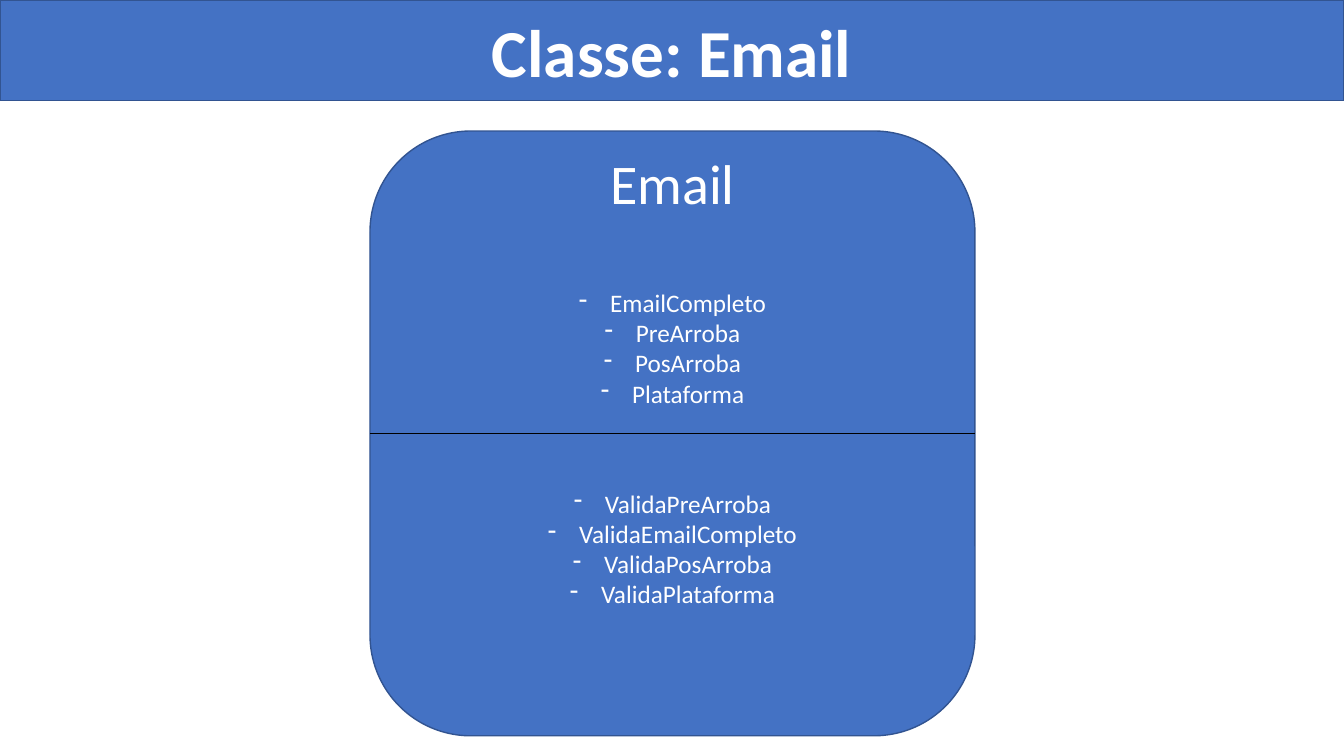
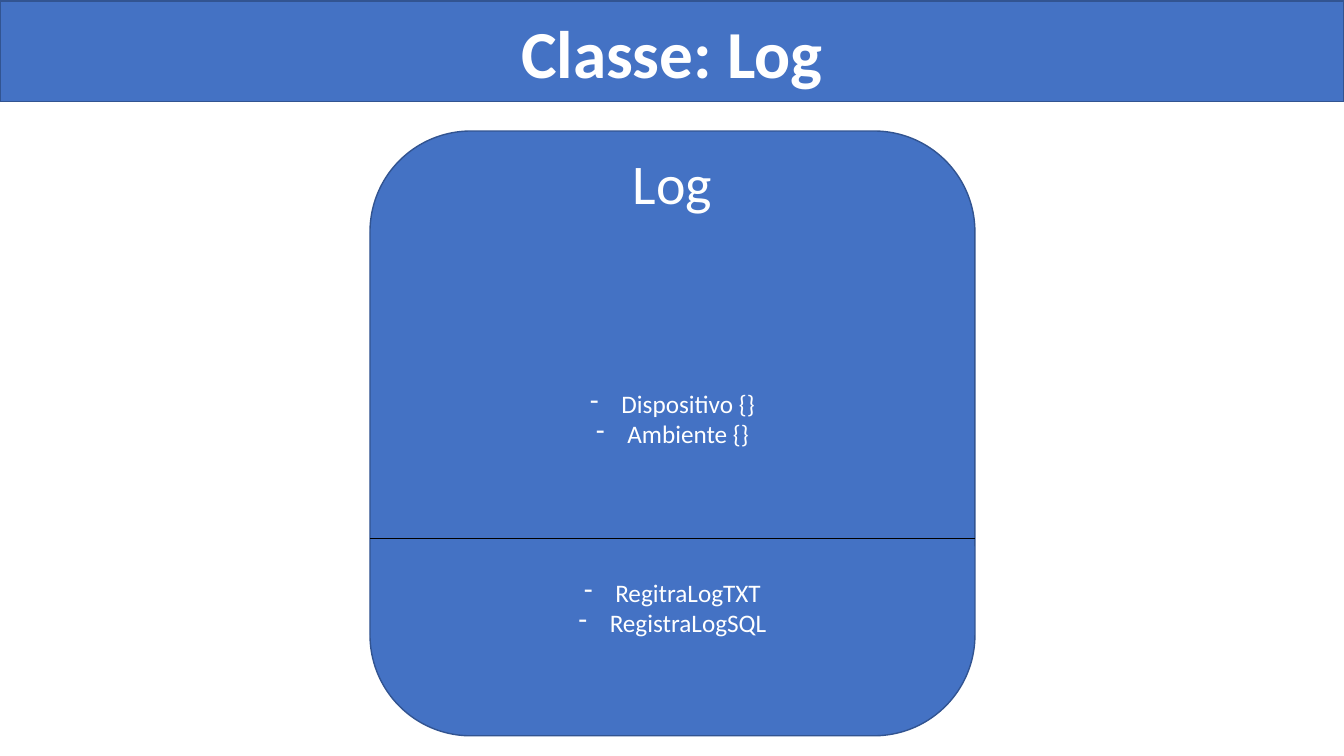
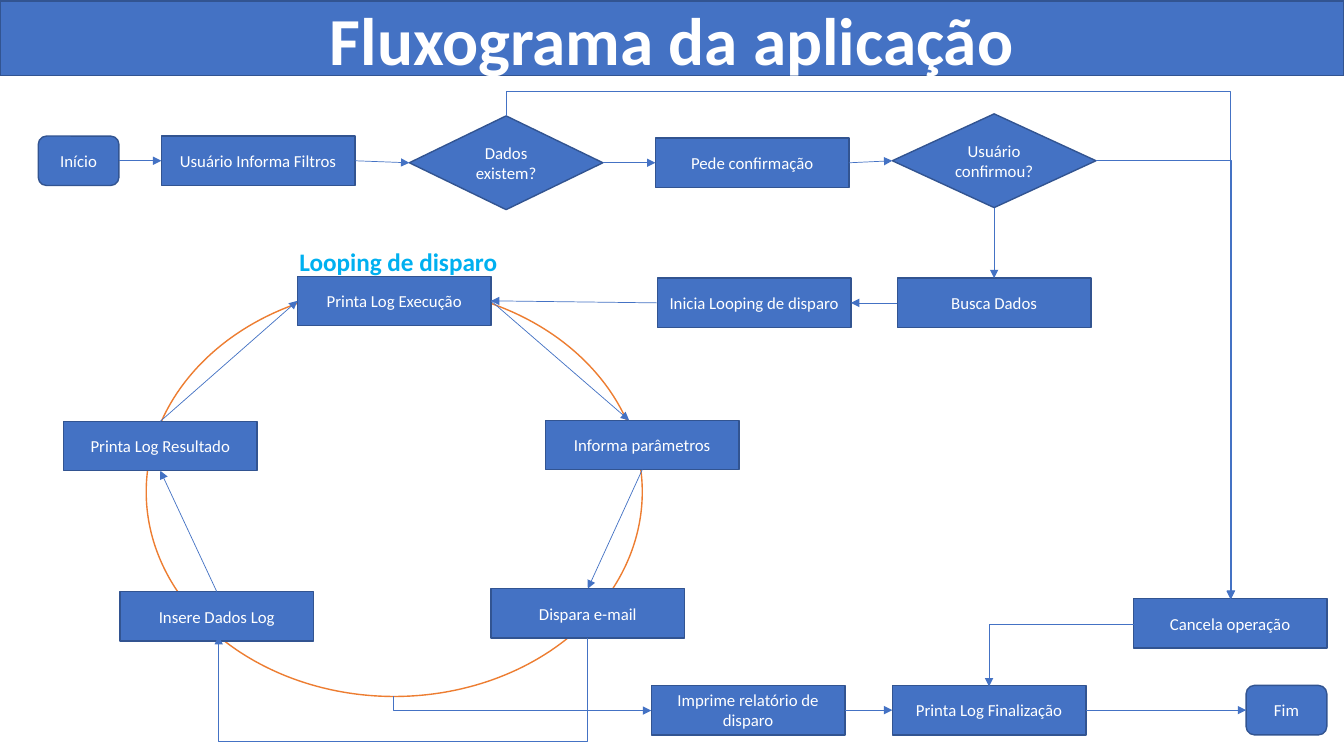
from dataclasses import dataclass
from typing import Optional, Union

from lxml.etree import SubElement
from pptx import Presentation
from pptx.dml.color import RGBColor
from pptx.enum.shapes import MSO_CONNECTOR, MSO_SHAPE
from pptx.enum.text import MSO_ANCHOR, MSO_AUTO_SIZE, PP_ALIGN
from pptx.oxml.ns import qn
from pptx.util import Inches, Pt

# Shared style
FONT = "Calibri"
BLUE, EDGE, ORANGE, CYAN = "4472C4", "325491", "ED7D31", "00B0F0"
WHITE, BLACK = "FFFFFF", "000000"
SLIDE_W, SLIDE_H = 13.33, 7.5
CARD_X, CARD_Y, CARD_SIZE = 3.67, 1.3, 6
BOX_W, BOX_H, PILL_W = 1.92, 0.49, 0.8
TOP, LEFT, BOTTOM, RIGHT = range(4)
RECT, PILL = MSO_SHAPE.RECTANGLE, MSO_SHAPE.ROUNDED_RECTANGLE
DECISION = MSO_SHAPE.FLOWCHART_DECISION


@dataclass
class ClassCard:
    name: str
    band_y: float
    divider_y: float
    fields_y: float
    fields: list[str]
    methods_y: float
    methods: list[str]


@dataclass
class Node:
    text: str
    x: float
    y: float
    w: float = BOX_W
    h: float = BOX_H
    kind: int = RECT

    def site(self, side: int) -> tuple[float, float]:
        return [(self.x + self.w / 2, self.y), (self.x, self.y + self.h / 2),
                (self.x + self.w / 2, self.y + self.h),
                (self.x + self.w, self.y + self.h / 2)][side]


@dataclass
class Arrow:
    start: str
    start_side: int
    end: str
    end_side: int
    tip: Optional[tuple[float, float]] = None


@dataclass
class Elbow:
    start: Optional[str]
    start_side: int
    end: str
    end_side: int
    box: tuple[float, float, float, float]
    turn: int = 0
    flip: str = ""
    bend: Optional[int] = None


def rgb(color: str) -> RGBColor:
    return RGBColor.from_string(color)


def write(tf, lines: list[str], size: int, color: str = WHITE, bold: bool = False,
          align=PP_ALIGN.CENTER, dashed: bool = False) -> None:
    tf.text = "\n".join(lines)
    for p in tf.paragraphs:
        p.alignment = align
        if dashed:
            pPr = p._p.get_or_add_pPr()
            pPr.set("marL", str(Inches(0.31)))
            pPr.set("indent", str(-Inches(0.31)))
            SubElement(pPr, qn("a:buFontTx"))
            SubElement(pPr, qn("a:buChar")).set("char", "-")
        for r in p.runs:
            r.font.name, r.font.size, r.font.bold = FONT, Pt(size), bold
            r.font.color.rgb = rgb(color)


def add_box(s, kind: int, x: float, y: float, w: float, h: float, text: str = "",
            size: int = 12, bold: bool = False, fill: Optional[str] = BLUE,
            edge: str = EDGE):
    sp = s.shapes.add_shape(kind, Inches(x), Inches(y), Inches(w), Inches(h))
    sp.shadow.inherit = False
    if fill:
        sp.fill.solid()
        sp.fill.fore_color.rgb = rgb(fill)
    else:
        sp.fill.background()
    sp.line.color.rgb, sp.line.width = rgb(edge), Pt(1)
    if text:
        sp.text_frame.vertical_anchor = MSO_ANCHOR.MIDDLE
        write(sp.text_frame, [text], size, bold=bold)
    return sp


def add_text(s, x: float, y: float, w: float, h: float, lines: list[str], size: int,
             wrap: bool = True, **style) -> None:
    tf = s.shapes.add_textbox(Inches(x), Inches(y), Inches(w), Inches(h)).text_frame
    tf.word_wrap, tf.auto_size = wrap, MSO_AUTO_SIZE.SHAPE_TO_FIT_TEXT
    write(tf, lines, size, **style)


def add_line(s, kind: int, start: tuple[float, float], end: tuple[float, float],
             color: str, arrow: bool = False):
    c = s.shapes.add_connector(kind, *(Inches(v) for v in (*start, *end)))
    c.line.color.rgb, c.line.width = rgb(color), Pt(0.5)
    if arrow:
        SubElement(c.line._get_or_add_ln(), qn("a:tailEnd")).set("type", "triangle")
    SubElement(c._element.spPr, qn("a:effectLst"))
    return c


def add_band(s, title: str, y: float, h: float = 1) -> None:
    add_box(s, RECT, 0, y, SLIDE_W, h, title, 48, True)


def add_card(s, card: ClassCard) -> None:
    add_band(s, f"Classe: {card.name}", card.band_y)
    add_box(s, PILL, CARD_X, CARD_Y, CARD_SIZE, CARD_SIZE)
    add_text(s, CARD_X, 1.42, CARD_SIZE, 0.77, [card.name], 40)
    add_line(s, MSO_CONNECTOR.STRAIGHT, (CARD_X, card.divider_y),
             (CARD_X + CARD_SIZE, card.divider_y), BLACK)
    for y, lines in ((card.fields_y, card.fields), (card.methods_y, card.methods)):
        add_text(s, CARD_X, y, CARD_SIZE, 0.11 + 0.3 * len(lines), lines, 18, dashed=True)


def add_link(s, link: Union[Arrow, Elbow], nodes: dict, shapes: dict) -> None:
    if isinstance(link, Arrow):
        start = nodes[link.start].site(link.start_side)
        end = link.tip or nodes[link.end].site(link.end_side)
        c = add_line(s, MSO_CONNECTOR.STRAIGHT, start, end, BLUE, True)
        if not link.tip:
            c.begin_connect(shapes[link.start], link.start_side)
            c.end_connect(shapes[link.end], link.end_side)
        return
    c = add_line(s, MSO_CONNECTOR.ELBOW, (0, 0), (1, 1), BLUE, True)
    if link.start:
        c.begin_connect(shapes[link.start], link.start_side)
    c.end_connect(shapes[link.end], link.end_side)
    # Place the turned frame and choose one bend or two
    xfrm = c._element.spPr.find(qn("a:xfrm"))
    for name in ("flipH", "flipV"):
        xfrm.set(name, str(int(name == link.flip)))
    xfrm.set("rot", str(link.turn * 60000))
    c.left, c.top, c.width, c.height = (Inches(v) for v in link.box)
    geom = c._element.spPr.find(qn("a:prstGeom"))
    if link.bend is None:
        geom.set("prst", "bentConnector2")
    else:
        gd = SubElement(geom.find(qn("a:avLst")), qn("a:gd"))
        gd.set("name", "adj1")
        gd.set("fmla", f"val {link.bend}")


CARDS = [
    ClassCard("Email", 0, 4.3,
              2.8, ["EmailCompleto", "PreArroba", "PosArroba", "Plataforma"],
              4.79, ["ValidaPreArroba", "ValidaEmailCompleto", "ValidaPosArroba",
                     "ValidaPlataforma"]),
    ClassCard("Log", 0.01, 5.34,
              3.8, ["Dispositivo {}", "Ambiente {}"],
              5.68, ["RegitraLogTXT", "RegistraLogSQL"]),
]

NODES = {
    "begin": Node("Início", 0.38, 1.35, PILL_W, kind=PILL),
    "filters": Node("Usuário Informa Filtros", 1.6, 1.35),
    "exists": Node("Dados existem?", 4.06, 1.15, h=0.93, kind=DECISION),
    "ask": Node("Pede confirmação", 6.5, 1.37),
    "confirmed": Node("Usuário confirmou?", 8.85, 1.13, 2.02, 0.93, DECISION),
    "fetch": Node("Busca Dados", 8.9, 2.76),
    "loop": Node("Inicia Looping de disparo", 6.52, 2.76),
    "log_run": Node("Printa Log Execução", 2.95, 2.74),
    "params": Node("Informa parâmetros", 5.41, 4.17),
    "send": Node("Dispara e-mail", 4.87, 5.84),
    "insert": Node("Insere Dados Log", 1.19, 5.87),
    "log_result": Node("Printa Log Resultado", 0.63, 4.18),
    "cancel": Node("Cancela operação", 11.24, 5.94),
    "report": Node("Imprime relatório de disparo", 6.46, 6.8),
    "log_end": Node("Printa Log Finalização", 8.85, 6.8),
    "finish": Node("Fim", 12.36, 6.8, PILL_W, kind=PILL),
}

LINKS = [
    Arrow("begin", RIGHT, "filters", LEFT),
    Arrow("filters", RIGHT, "exists", LEFT),
    Arrow("exists", RIGHT, "ask", LEFT),
    Arrow("ask", RIGHT, "confirmed", LEFT),
    Arrow("confirmed", BOTTOM, "fetch", TOP),
    Arrow("fetch", LEFT, "loop", RIGHT),
    Arrow("loop", LEFT, "log_run", RIGHT),
    Arrow("log_run", RIGHT, "params", TOP, tip=(6.24, 4.17)),
    Arrow("params", BOTTOM, "send", TOP),
    Arrow("insert", TOP, "log_result", BOTTOM),
    Arrow("log_result", TOP, "log_run", LEFT),
    Arrow("report", RIGHT, "log_end", LEFT),
    Arrow("log_end", RIGHT, "finish", LEFT),
    Elbow("confirmed", RIGHT, "cancel", TOP, (10.87, 1.59, 1.34, 4.35)),
    Elbow("cancel", LEFT, "log_end", TOP, (9.81, 6.19, 1.44, 0.62), 180, "flipV"),
    Elbow("exists", TOP, "cancel", TOP, (6.22, -0.04, 4.79, 7.18), 270, "flipH", -5200),
    Elbow("send", BOTTOM, "insert", BOTTOM, (3.99, 4.49, 0.02, 3.66), 90, "flipH",
          -5104100),
    Elbow(None, BOTTOM, "report", LEFT, (5.11, 5.7, 0.14, 2.56), 270, "flipH"),
]

prs = Presentation()
prs.slide_width, prs.slide_height = Inches(SLIDE_W), Inches(SLIDE_H)
blank = prs.slide_layouts[6]

# Class slides
for card in CARDS:
    add_card(prs.slides.add_slide(blank), card)

# Flowchart slide
s = prs.slides.add_slide(blank)
add_band(s, "Fluxograma da aplicação", 0.01, 0.74)
add_box(s, MSO_SHAPE.OVAL, 1.45, 2.85, 4.92, 4.06, fill=None, edge=ORANGE)
shapes = {key: add_box(s, n.kind, n.x, n.y, n.w, n.h, n.text) for key, n in NODES.items()}
add_text(s, 2.87, 2.39, 2.18, 0.4, ["Looping de disparo"], 18, wrap=False,
         color=CYAN, bold=True, align=PP_ALIGN.LEFT)
for link in LINKS:
    add_link(s, link, NODES, shapes)

prs.save("out.pptx")
